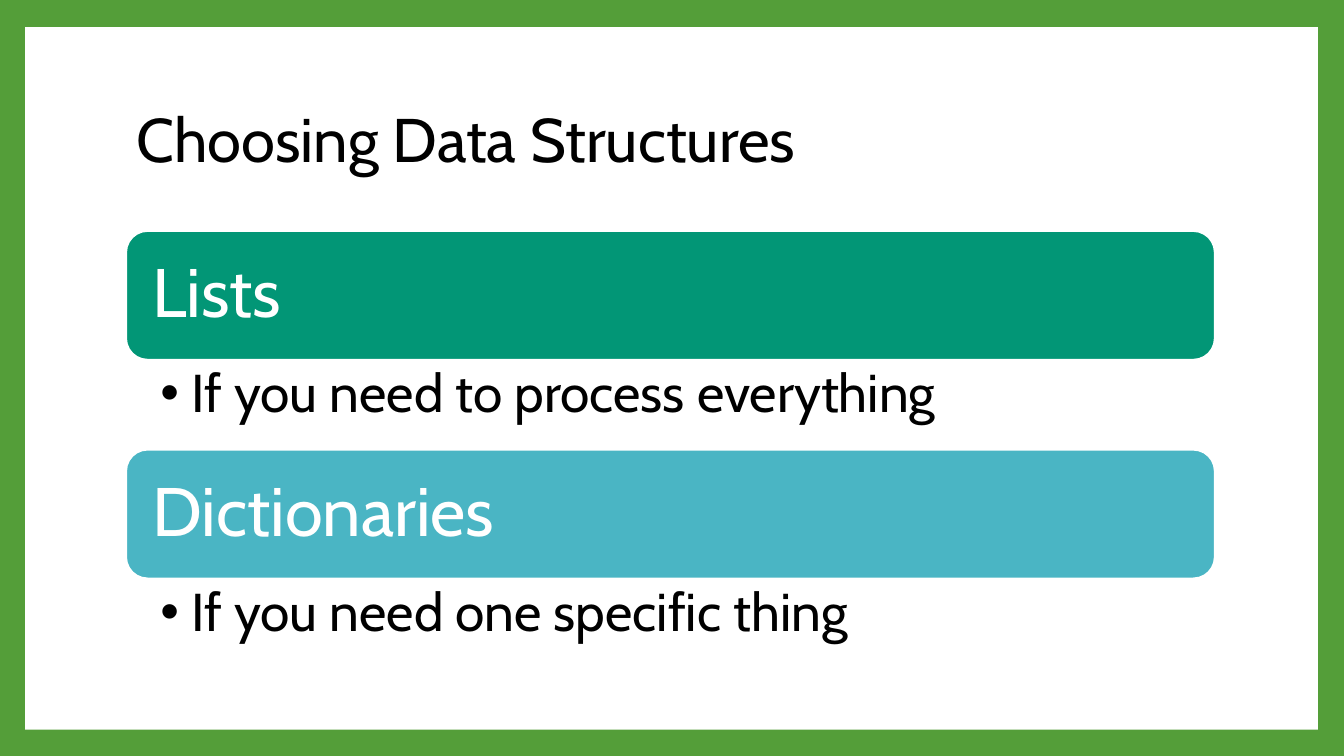
from lxml import etree
from pptx import Presentation
from pptx.dml.color import RGBColor
from pptx.enum.shapes import MSO_SHAPE
from pptx.enum.text import MSO_ANCHOR, MSO_AUTO_SIZE, PP_ALIGN
from pptx.oxml.ns import qn
from pptx.util import Inches, Pt

RECTANGLE = MSO_SHAPE.RECTANGLE
ROUNDED = MSO_SHAPE.ROUNDED_RECTANGLE
TOP, MIDDLE = MSO_ANCHOR.TOP, MSO_ANCHOR.MIDDLE
NO_AUTOFIT = MSO_AUTO_SIZE.NONE
LEFT = PP_ALIGN.LEFT

GREEN = RGBColor(0x54, 0x9E, 0x39)
TEAL = RGBColor(0x02, 0x96, 0x76)
SKY = RGBColor(0x4A, 0xB5, 0xC4)
WHITE = RGBColor(0xFF, 0xFF, 0xFF)
BLACK = RGBColor(0, 0, 0)
FONT = "Cabin"

TITLE = "Choosing Data Structures"
STRUCTURES = [
    ("Lists", "If you need to process everything", TEAL),
    ("Dictionaries", "If you need one specific thing", SKY),
]

# Lengths in inches
SLIDE_WIDTH, SLIDE_HEIGHT = 13.33, 7.5
PANEL = (0.25, 0.27, 12.82, 6.97)
COLUMN_LEFT, COLUMN_WIDTH = 1.25, 10.8
TITLE_TOP, TITLE_HEIGHT = 0.67, 1.48
BANDS_TOP, BAND_HEIGHT, BULLET_HEIGHT = 2.29, 1.28, 0.89
BULLET_INDENT = 0.31


def place(shape, left, top, width, height):
    shape.left, shape.top = Inches(left), Inches(top)
    shape.width, shape.height = Inches(width), Inches(height)


def add_bullet(para, indent):
    properties = para._p.get_or_add_pPr()
    properties.set("marL", str(Inches(indent)))
    properties.set("indent", str(-Inches(indent)))
    etree.SubElement(properties, qn("a:buChar"), char="•")


def write(shape, text, size, color, anchor=MIDDLE, insets=(0.1, 0.05, 0.1, 0.05), bullet=False):
    """Fill a shape with one left-aligned paragraph; insets run left, top, right, bottom."""
    frame = shape.text_frame
    frame.word_wrap = True
    frame.auto_size = NO_AUTOFIT
    frame.vertical_anchor = anchor
    frame.margin_left, frame.margin_top, frame.margin_right, frame.margin_bottom = map(Inches, insets)
    para = frame.paragraphs[0]
    para.alignment = LEFT
    para.line_spacing = 0.9
    para.space_before = Pt(0)
    if bullet:
        add_bullet(para, BULLET_INDENT)
    span = para.add_run()
    span.text = text
    span.font.name = FONT
    span.font.size = Pt(size)
    span.font.color.rgb = color


def add_block(slide, kind, bounds, fill):
    block = slide.shapes.add_shape(kind, *map(Inches, bounds))
    block.shadow.inherit = False
    block.fill.solid()
    block.fill.fore_color.rgb = fill
    block.line.color.rgb = WHITE
    block.line.width = Pt(1.5)
    return block


def main():
    deck = Presentation()
    deck.slide_width, deck.slide_height = Inches(SLIDE_WIDTH), Inches(SLIDE_HEIGHT)
    slide = deck.slides.add_slide(deck.slide_layouts.get_by_name("Two Content"))
    slide.background.fill.solid()
    slide.background.fill.fore_color.rgb = GREEN

    panel = add_block(slide, RECTANGLE, PANEL, WHITE)
    panel.line.fill.background()
    slide.shapes.title._element.addprevious(panel._element)

    place(slide.shapes.title, COLUMN_LEFT, TITLE_TOP, COLUMN_WIDTH, TITLE_HEIGHT)
    write(slide.shapes.title, TITLE, 44, BLACK)

    bodies = list(slide.placeholders)[1:]
    for row, (body, (name, reason, color)) in enumerate(zip(bodies, STRUCTURES)):
        top = BANDS_TOP + row * (BAND_HEIGHT + BULLET_HEIGHT)
        band = add_block(slide, ROUNDED, (COLUMN_LEFT, top, COLUMN_WIDTH, BAND_HEIGHT), color)
        write(band, name, 49, WHITE, insets=(0.2, 0.2, 0.2, 0.2))
        place(body, COLUMN_LEFT, top + BAND_HEIGHT, COLUMN_WIDTH, BULLET_HEIGHT)
        write(body, reason, 38, BLACK, anchor=TOP, insets=(0.34, 0.07, 0.38, 0.07), bullet=True)

    deck.save("out.pptx")


if __name__ == "__main__":
    main()
